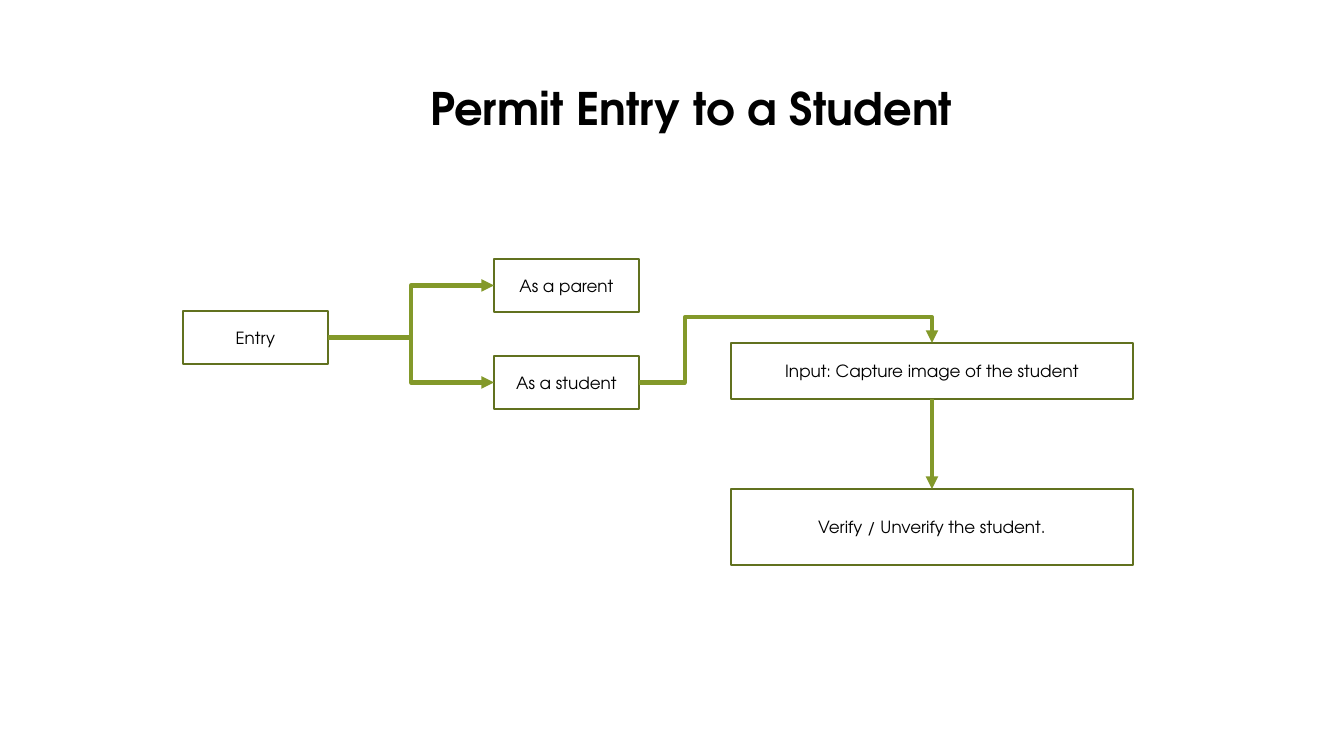
from lxml import etree
from pptx import Presentation
from pptx import util as u
from pptx.dml.color import RGBColor
from pptx.enum import shapes, text
from pptx.oxml.ns import qn

PX = 914400 / 100.8
FONT = "TeX Gyre Adventor"
COLORS = {"ink": "000000", "border": "61711F", "arrow": "83992A"}
TOP, LEFT, BOTTOM, RIGHT = range(4)


def px(*lengths):
    return [u.Emu(round(length * PX)) for length in lengths]


def color(name):
    return RGBColor.from_string(COLORS[name])


def write(frame, words, size, bold=False):
    frame.word_wrap = True
    para = frame.paragraphs[0]
    para.alignment = text.PP_ALIGN.CENTER
    span = para.add_run()
    span.text = words
    span.font.name = FONT
    span.font.size = u.Pt(size)
    span.font.bold = bold
    span.font.color.rgb = color("ink")


def add_step(page, words, left, top, width, height):
    step = page.shapes.add_shape(
        shapes.MSO_SHAPE.RECTANGLE, *px(left, top, width, height))
    step.shadow.inherit = False
    step.fill.background()
    step.line.color.rgb = color("border")
    step.line.width = u.Pt(1.25)
    step.text_frame.vertical_anchor = text.MSO_ANCHOR.MIDDLE
    write(step.text_frame, words, 12)
    return step


def add_arrow(page, kind, start, start_side, end, end_side):
    arrow = page.shapes.add_connector(kind, 0, 0, 0, 0)
    arrow.begin_connect(start, start_side)
    arrow.end_connect(end, end_side)
    arrow.line.color.rgb = color("arrow")
    arrow.line.width = u.Pt(3)
    line = arrow.line._get_or_add_ln()
    etree.SubElement(line, qn("a:tailEnd"), type="triangle")
    etree.SubElement(arrow._element.spPr, qn("a:effectLst"))
    return arrow


def set_bends(arrow, preset, *shares):
    """Route an elbow by bend positions, in thousandths of its box."""
    geometry = arrow._element.spPr.find(qn("a:prstGeom"))
    geometry.set("prst", preset)
    guides = geometry.find(qn("a:avLst"))
    if guides is None:
        guides = etree.SubElement(geometry, qn("a:avLst"))
    for number, share in enumerate(shares, 1):
        etree.SubElement(guides, qn("a:gd"), name=f"adj{number}",
                         fmla=f"val {share * 100}")


def add_title(page, left, top, width, height):
    box = page.shapes.add_textbox(*px(left, top, width, height))
    write(box.text_frame, "Permit Entry to a Student", 32, bold=True)


def add_flow(page, left, top, width, height):
    # Entry and the two roles
    small = (145, 53)
    role_left = left + 311
    entry = add_step(page, "Entry", left, top + 52, *small)
    parent = add_step(page, "As a parent", role_left, top, *small)
    student = add_step(page, "As a student", role_left, top + 97, *small)

    # Steps along the right edge
    wide = 402
    step_left = left + width - wide
    capture = add_step(page, "Input: Capture image of the student",
                       step_left, top + 84, wide, 56)
    verify = add_step(page, "Verify / Unverify the student.",
                      step_left, top + height - 76, wide, 76)

    # Arrows
    elbow = shapes.MSO_CONNECTOR.ELBOW
    for role in (parent, student):
        add_arrow(page, elbow, entry, RIGHT, role, LEFT)
    detour = add_arrow(page, elbow, student, RIGHT, capture, TOP)
    set_bends(detour, "bentConnector4", 156, 1650)
    add_arrow(page, shapes.MSO_CONNECTOR.STRAIGHT,
              capture, BOTTOM, verify, TOP)


def main():
    deck = Presentation()
    deck.slide_width, deck.slide_height = px(1344, 756)
    page = deck.slides.add_slide(deck.slide_layouts[6])
    add_title(page, 173, 76, 1037, 65)
    add_flow(page, 183, 259, 950, 306)
    deck.save("out.pptx")


if __name__ == "__main__":
    main()
